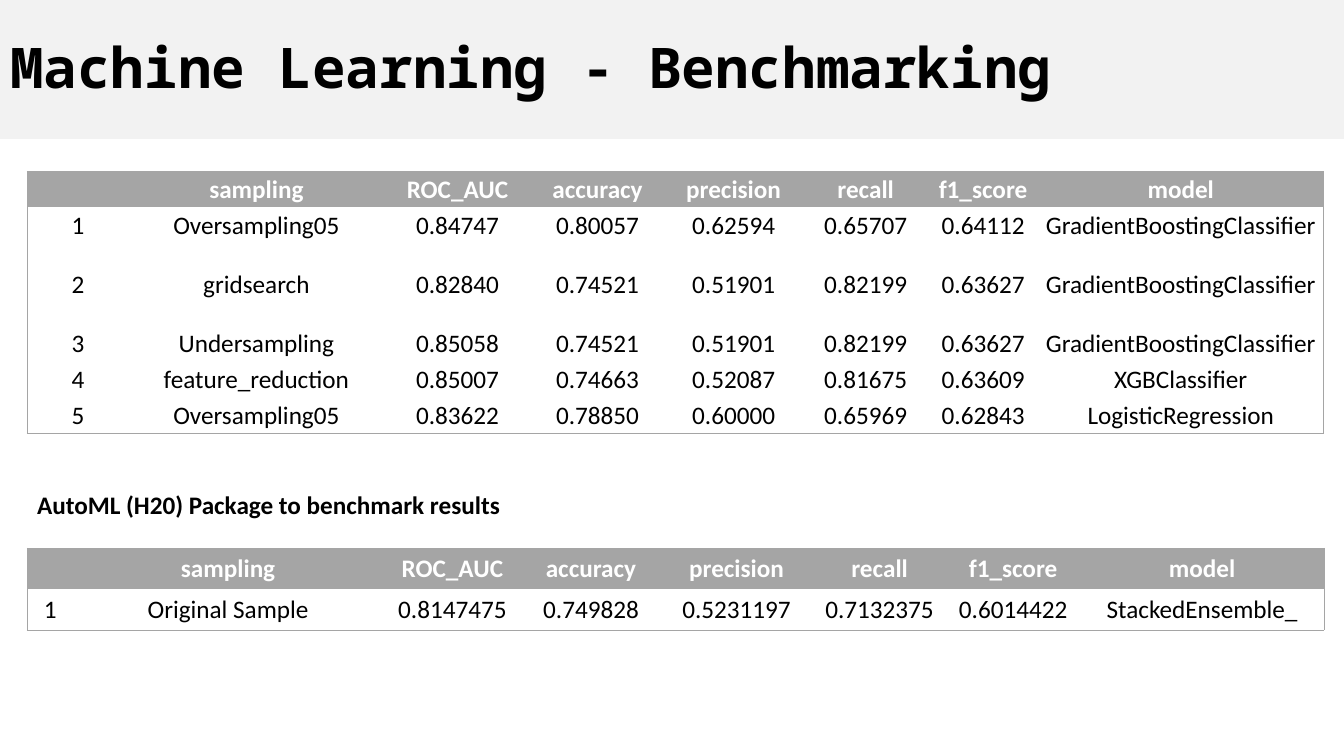
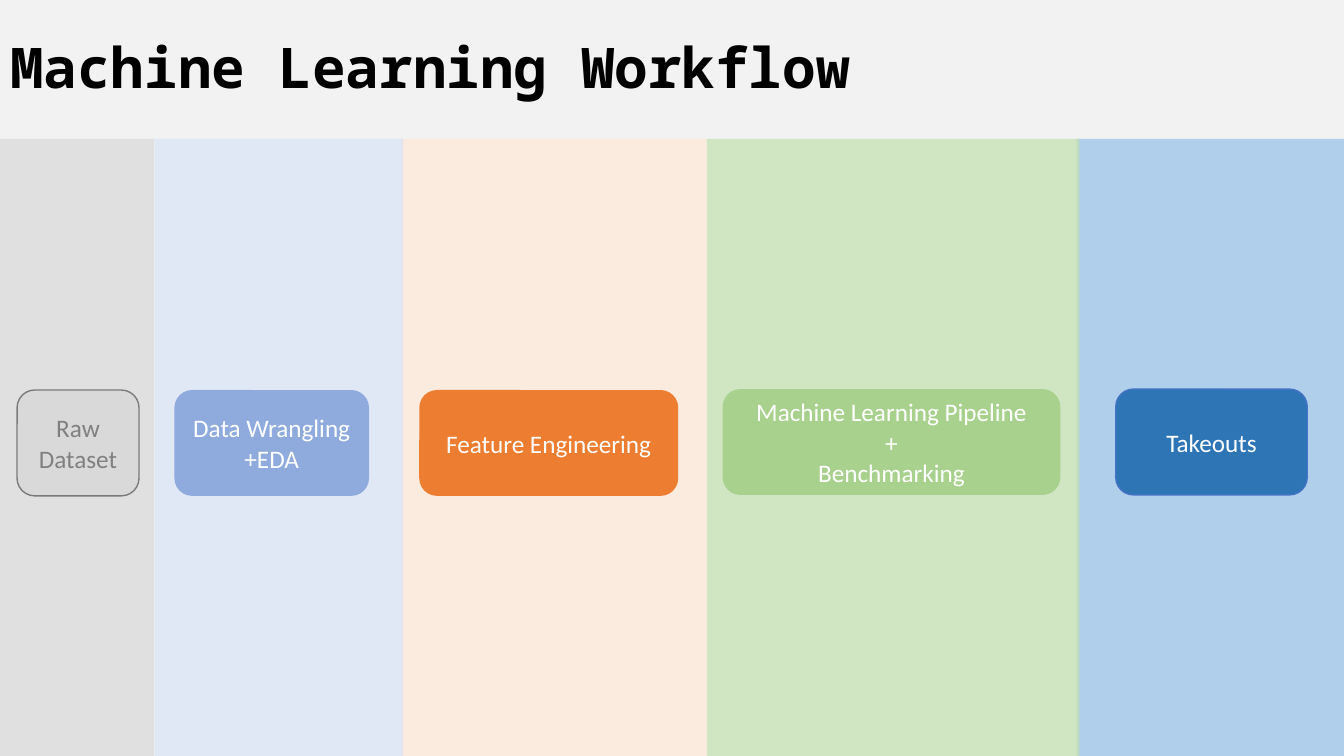
from dataclasses import dataclass

from lxml import etree
from pptx import Presentation
from pptx.dml.color import RGBColor
from pptx.enum.shapes import MSO_SHAPE
from pptx.enum.text import MSO_ANCHOR, MSO_AUTO_SIZE, PP_ALIGN
from pptx.oxml.ns import qn
from pptx.presentation import Presentation as Deck
from pptx.shapes.autoshape import Shape
from pptx.slide import Slide
from pptx.table import _Cell
from pptx.text.text import TextFrame
from pptx.util import Pt

RECTANGLE, ROUNDED = MSO_SHAPE.RECTANGLE, MSO_SHAPE.ROUNDED_RECTANGLE
LEFT, CENTER = PP_ALIGN.LEFT, PP_ALIGN.CENTER
TOP, MIDDLE = MSO_ANCHOR.TOP, MSO_ANCHOR.MIDDLE
NO_AUTOFIT = MSO_AUTO_SIZE.NONE

COLORS = {
    "black": "000000", "white": "FFFFFF", "band": "F2F2F2", "table": "A5A5A5",
    "raw_lane": "D9D9D9", "raw_line": "7A7A7A", "raw_text": "808080",
    "wrangling_lane": "DAE3F3", "wrangling": "8FAADC",
    "feature_lane": "FBE5D6", "feature": "ED7D31",
    "pipeline_lane": "C5E0B4", "pipeline": "A9D18E",
    "takeouts_lane": "9DC3E6", "takeouts": "2E75B6", "takeouts_line": "4472C4",
}
BODY_FONT, TITLE_FONT = "Calibri", "Noto Sans Mono"
SLIDE_WIDTH, SLIDE_HEIGHT, BAND_HEIGHT = 960, 540, 99.2
TABLE_LEFT = 19.4
BOX_HEIGHT = 75.6
PLAIN_TABLE_STYLE = "{2D5ABB26-0587-4C30-8999-92F81FD0307C}"
HEADER = ("", "sampling", "ROC_AUC", "accuracy", "precision", "recall", "f1_score", "model")


@dataclass
class ResultTable:
    top: float
    widths: tuple[float, ...]
    heights: tuple[float, ...]
    side_margin: float
    end_margin: float
    rows: tuple[tuple[str, ...], ...]


@dataclass
class Stage:
    text: str
    lane_left: float
    lane_width: float
    lane_color: str
    box_left: float
    box_top: float
    box_width: float
    box_color: str
    line_color: str = ""
    text_color: str = "white"


TABLES = (
    ResultTable(
        122.6, (72.7, 182.2, 105.1, 95, 99.4, 89.3, 78.5, 203.8),
        (25.6, 25.6, 59, 25.6, 25.6, 25.6), 3.6, 1.8,
        (
            ("1", "Oversampling05", "0.84747", "0.80057", "0.62594", "0.65707", "0.64112",
             "GradientBoostingClassifier"),
            ("2", "gridsearch", "0.82840", "0.74521", "0.51901", "0.82199", "0.63627",
             "GradientBoostingClassifier"),
            ("3", "Undersampling", "0.85058", "0.74521", "0.51901", "0.82199", "0.63627",
             "GradientBoostingClassifier"),
            ("4", "feature_reduction", "0.85007", "0.74663", "0.52087", "0.81675", "0.63609",
             "XGBClassifier"),
            ("5", "Oversampling05", "0.83622", "0.78850", "0.60000", "0.65969", "0.62843",
             "LogisticRegression"),
        ),
    ),
    ResultTable(
        391.5, (33.1, 221, 99.4, 98.6, 109.4, 95, 95.8, 174.2), (29, 29), 7.2, 3.6,
        (("1", "Original Sample", "0.8147475", "0.749828", "0.5231197", "0.7132375",
          "0.6014422", "StackedEnsemble_"),),
    ),
)

STAGES = (
    Stage("Raw Dataset", 0, 110.2, "raw_lane", 12.2, 278.6, 87.1, "raw_lane",
          "raw_line", "raw_text"),
    Stage("Data Wrangling +EDA", 110.2, 177.8, "wrangling_lane", 124.6, 278.6, 139, "wrangling"),
    Stage("Feature Engineering", 286.6, 218.2, "feature_lane", 299.5, 278.6, 185, "feature"),
    Stage("Machine Learning Pipeline\n+\nBenchmarking", 504.7, 266.4, "pipeline_lane",
          516.2, 277.9, 241.2, "pipeline"),
    Stage("Takeouts", 769, 191, "takeouts_lane", 797, 277.9, 136.8, "takeouts", "takeouts_line"),
)


def color(name: str) -> RGBColor:
    """Return the named colour."""
    return RGBColor.from_string(COLORS[name])


def write(frame: TextFrame, text: str, color_name: str, size: float = 18, bold: bool = False,
          font: str = BODY_FONT, align: PP_ALIGN = CENTER) -> None:
    """Fill a text frame and format its runs."""
    frame.text = text
    for paragraph in frame.paragraphs:
        paragraph.alignment = align
        for run in paragraph.runs:
            run.font.name = font
            run.font.size = Pt(size)
            run.font.bold = bold
            run.font.color.rgb = color(color_name)


def add_titled_slide(presentation: Deck, text: str) -> Slide:
    """Add a slide with the shared title band."""
    slide = presentation.slides.add_slide(presentation.slide_layouts[5])
    title = slide.shapes.title
    title.left, title.top = Pt(0), Pt(0)
    title.width, title.height = Pt(SLIDE_WIDTH), Pt(BAND_HEIGHT)
    title.fill.solid()
    title.fill.fore_color.rgb = color("band")
    frame = title.text_frame
    frame.auto_size = NO_AUTOFIT
    frame.vertical_anchor = TOP
    frame.margin_top = Pt(23)
    write(frame, text, "black", 40, True, TITLE_FONT, LEFT)
    return slide


def add_border(cell: _Cell, side: str) -> None:
    """Draw a thin line on one side of a cell."""
    line = etree.SubElement(cell._tc.get_or_add_tcPr(), qn(f"a:ln{side}"), w=str(Pt(0.5)))
    fill = etree.SubElement(line, qn("a:solidFill"))
    etree.SubElement(fill, qn("a:srgbClr"), val=COLORS["table"])


def add_result_table(slide: Slide, result: ResultTable) -> None:
    """Add a table with a filled header and an outer border."""
    rows = (HEADER, *result.rows)
    last_row, last_column = len(rows) - 1, len(HEADER) - 1
    table = slide.shapes.add_table(
        len(rows), len(HEADER), Pt(TABLE_LEFT), Pt(result.top),
        Pt(sum(result.widths)), Pt(sum(result.heights))).table
    table.horz_banding = False
    table._tbl.tblPr.find(qn("a:tableStyleId")).text = PLAIN_TABLE_STYLE
    for column, width in zip(table.columns, result.widths):
        column.width = Pt(width)
    for row, height in zip(table.rows, result.heights):
        row.height = Pt(height)
    for row_index, values in enumerate(rows):
        is_header = row_index == 0
        for column_index, value in enumerate(values):
            cell = table.cell(row_index, column_index)
            cell.margin_left = cell.margin_right = Pt(result.side_margin)
            cell.margin_top = cell.margin_bottom = Pt(result.end_margin)
            cell.vertical_anchor = MIDDLE
            edges = {"L": column_index == 0, "R": column_index == last_column,
                     "T": is_header, "B": row_index == last_row}
            for side, is_outer in edges.items():
                if is_outer:
                    add_border(cell, side)
            if is_header:
                cell.fill.solid()
                cell.fill.fore_color.rgb = color("table")
            else:
                cell.fill.background()
            write(cell.text_frame, value, "white" if is_header else "black", bold=is_header)


def add_block(slide: Slide, kind: MSO_SHAPE, left: float, top: float, width: float,
              height: float, fill: str, line: str = "") -> Shape:
    """Add a filled shape, outlined if a line colour is given."""
    shape = slide.shapes.add_shape(kind, Pt(left), Pt(top), Pt(width), Pt(height))
    shape.shadow.inherit = False
    shape.fill.solid()
    shape.fill.fore_color.rgb = color(fill)
    if line:
        shape.line.color.rgb = color(line)
        shape.line.width = Pt(1)
    else:
        shape.line.fill.background()
    return shape


def add_lane(slide: Slide, stage: Stage) -> None:
    """Add the translucent lane behind a stage."""
    lane = add_block(slide, RECTANGLE, stage.lane_left, BAND_HEIGHT, stage.lane_width,
                     SLIDE_HEIGHT - BAND_HEIGHT, stage.lane_color)
    fill = lane._element.spPr.find(qn("a:solidFill"))
    etree.SubElement(fill.find(qn("a:srgbClr")), qn("a:alpha"), val="80000")


def add_stage_box(slide: Slide, stage: Stage) -> None:
    """Add the labelled box of a stage."""
    box = add_block(slide, ROUNDED, stage.box_left, stage.box_top, stage.box_width,
                    BOX_HEIGHT, stage.box_color, stage.line_color)
    box.text_frame.word_wrap = True
    box.text_frame.vertical_anchor = MIDDLE
    write(box.text_frame, stage.text, stage.text_color)


def build_benchmarking(presentation: Deck) -> None:
    """Build the slide of benchmark tables."""
    slide = add_titled_slide(presentation, "Machine Learning - Benchmarking")
    for result in TABLES:
        add_result_table(slide, result)
    caption = slide.shapes.add_textbox(Pt(TABLE_LEFT), Pt(345.6), Pt(348.5), Pt(29))
    caption.text_frame.word_wrap = False
    write(caption.text_frame, "AutoML (H20) Package to benchmark results", "black",
          bold=True, align=LEFT)


def build_workflow(presentation: Deck) -> None:
    """Build the slide of workflow stages."""
    slide = add_titled_slide(presentation, "Machine Learning Workflow")
    for stage in reversed(STAGES):
        add_lane(slide, stage)
    for stage in STAGES:
        add_stage_box(slide, stage)


def main() -> None:
    """Build and save the presentation."""
    presentation = Presentation()
    presentation.slide_width = Pt(SLIDE_WIDTH)
    presentation.slide_height = Pt(SLIDE_HEIGHT)
    build_benchmarking(presentation)
    build_workflow(presentation)
    presentation.save("out.pptx")


if __name__ == "__main__":
    main()
